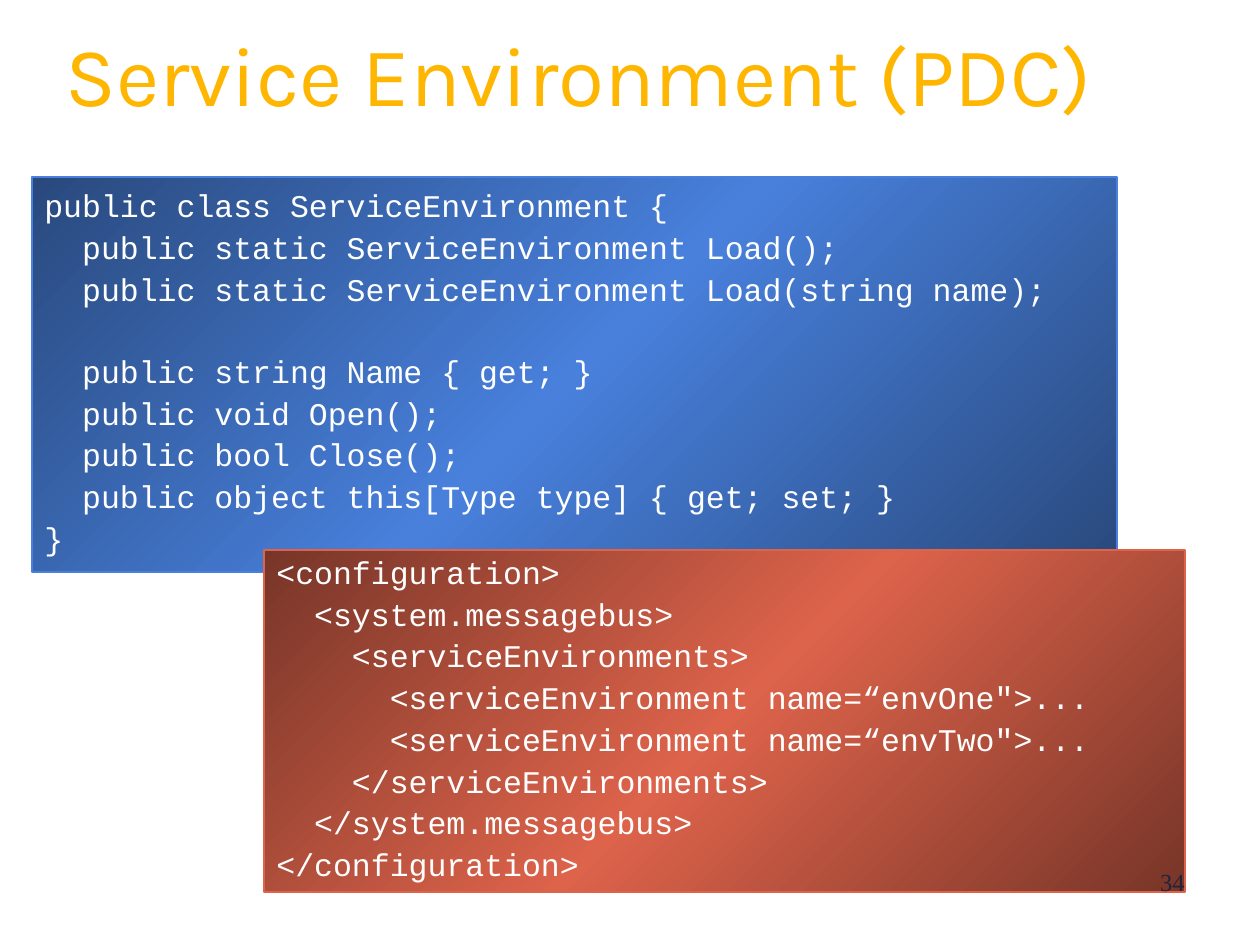
from copy import deepcopy
from dataclasses import dataclass

from lxml import etree
from pptx import Presentation
from pptx.dml.color import RGBColor
from pptx.enum.shapes import MSO_SHAPE
from pptx.enum.text import MSO_ANCHOR, PP_ALIGN
from pptx.oxml.ns import qn
from pptx.util import Emu, Pt

RECT = MSO_SHAPE.RECTANGLE
TOP, MIDDLE = MSO_ANCHOR.TOP, MSO_ANCHOR.MIDDLE
LEFT, RIGHT = PP_ALIGN.LEFT, PP_ALIGN.RIGHT
SCALE = 914400 / 126  # EMU per px


@dataclass(frozen=True)
class Theme:
    gold: str = "FFB601"
    shade: str = "4A3A20"
    blue: str = "4880DC"
    navy: str = "29497D"
    coral: str = "DD634B"
    rust: str = "773528"
    white: str = "FFFFFF"
    ink: str = "22233A"
    head: int = 48
    code: int = 18
    foot: int = 14
    sans: str = "Karla"
    mono: str = "Courier New"
    serif: str = "Times New Roman"
    tight: float = 0.85
    gap: float = 5.5
    skip: float = 28.4  # space before a line that follows an empty row


@dataclass(frozen=True)
class Box:
    left: int
    top: int
    width: int
    height: int

    def emu(self) -> list[Emu]:
        return [px(n) for n in (self.left, self.top, self.width, self.height)]


@dataclass(frozen=True)
class Panel:
    box: Box
    dark: str
    light: str
    code: str


THEME = Theme()

PANELS = [
    Panel(Box(32, 177, 1085, 395), THEME.navy, THEME.blue, """\
public class ServiceEnvironment {
  public static ServiceEnvironment Load();
  public static ServiceEnvironment Load(string name);

  public string Name { get; }
  public void Open();
  public bool Close();
  public object this[Type type] { get; set; }
}"""),
    Panel(Box(264, 550, 921, 342), THEME.rust, THEME.coral, """\
<configuration>
  <system.messagebus>
    <serviceEnvironments>
      <serviceEnvironment name=“envOne">...
      <serviceEnvironment name=“envTwo">...
    </serviceEnvironments>
  </system.messagebus>
</configuration>"""),
]


def px(n: int) -> Emu:
    return Emu(round(n * SCALE))


def rgb(code: str) -> RGBColor:
    return RGBColor.from_string(code)


def write(shape, text: str, *, size: int, font: str, color: str,
          align=LEFT, anchor=TOP, space: float | None = None) -> None:
    """Fill a shape with one paragraph per line; an empty row becomes a gap."""
    frame = shape.text_frame
    frame.word_wrap = True
    frame.vertical_anchor = anchor
    para, gap = frame.paragraphs[0], 0
    for row in text.split("\n"):
        if not row:
            gap = THEME.skip
            continue
        if para.runs:
            para = frame.add_paragraph()
        para.alignment = align
        if space:
            para.line_spacing = space
            para.space_before = Pt(gap)
        run = para.add_run()
        run.text = row
        run.font.size = Pt(size)
        run.font.name = font
        run.font.color.rgb = rgb(color)
        gap = THEME.gap


def shade(run, color: str) -> None:
    """Give a run a small drop shadow."""
    effect = etree.Element(qn("a:effectLst"))
    drop = etree.SubElement(effect, qn("a:outerShdw"), dist="25400", dir="2700000")
    etree.SubElement(drop, qn("a:srgbClr"), val=color)
    run.font.fill._xPr.find(qn("a:solidFill")).addnext(effect)


def blend(fill, dark: str, light: str) -> None:
    """Run a diagonal gradient from dark to light and back."""
    fill.gradient()
    fill.gradient_angle = 135
    first = fill._xPr.find(".//" + qn("a:gs"))
    first.addnext(deepcopy(first))
    stops = zip(fill.gradient_stops, (0, 0.5, 1), (dark, light, dark))
    for stop, place, color in stops:
        stop.position = place
        stop.color.rgb = rgb(color)


def draw(slide, panel: Panel) -> None:
    shape = slide.shapes.add_shape(RECT, *panel.box.emu())
    shape.shadow.inherit = False
    blend(shape.fill, panel.dark, panel.light)
    shape.line.color.rgb = rgb(panel.light)
    shape.line.width = Pt(1)
    write(shape, panel.code, size=THEME.code, font=THEME.mono,
          color=THEME.white, anchor=MIDDLE, space=THEME.tight)


def main() -> None:
    deck = Presentation()
    deck.slide_width, deck.slide_height = px(1260), px(945)
    slide = deck.slides.add_slide(deck.slide_layouts[6])

    # Title
    title = slide.shapes.add_textbox(*Box(53, 32, 1157, 98).emu())
    write(title, "Service Environment (PDC)", size=THEME.head,
          font=THEME.sans, color=THEME.gold, space=THEME.tight)
    shade(title.text_frame.paragraphs[0].runs[0], THEME.shade)

    # Code panels
    for panel in PANELS:
        draw(slide, panel)

    # Page number
    page = slide.shapes.add_textbox(*Box(903, 861, 294, 66).emu())
    write(page, "34", size=THEME.foot, font=THEME.serif,
          color=THEME.ink, align=RIGHT)

    deck.save("out.pptx")


if __name__ == "__main__":
    main()
